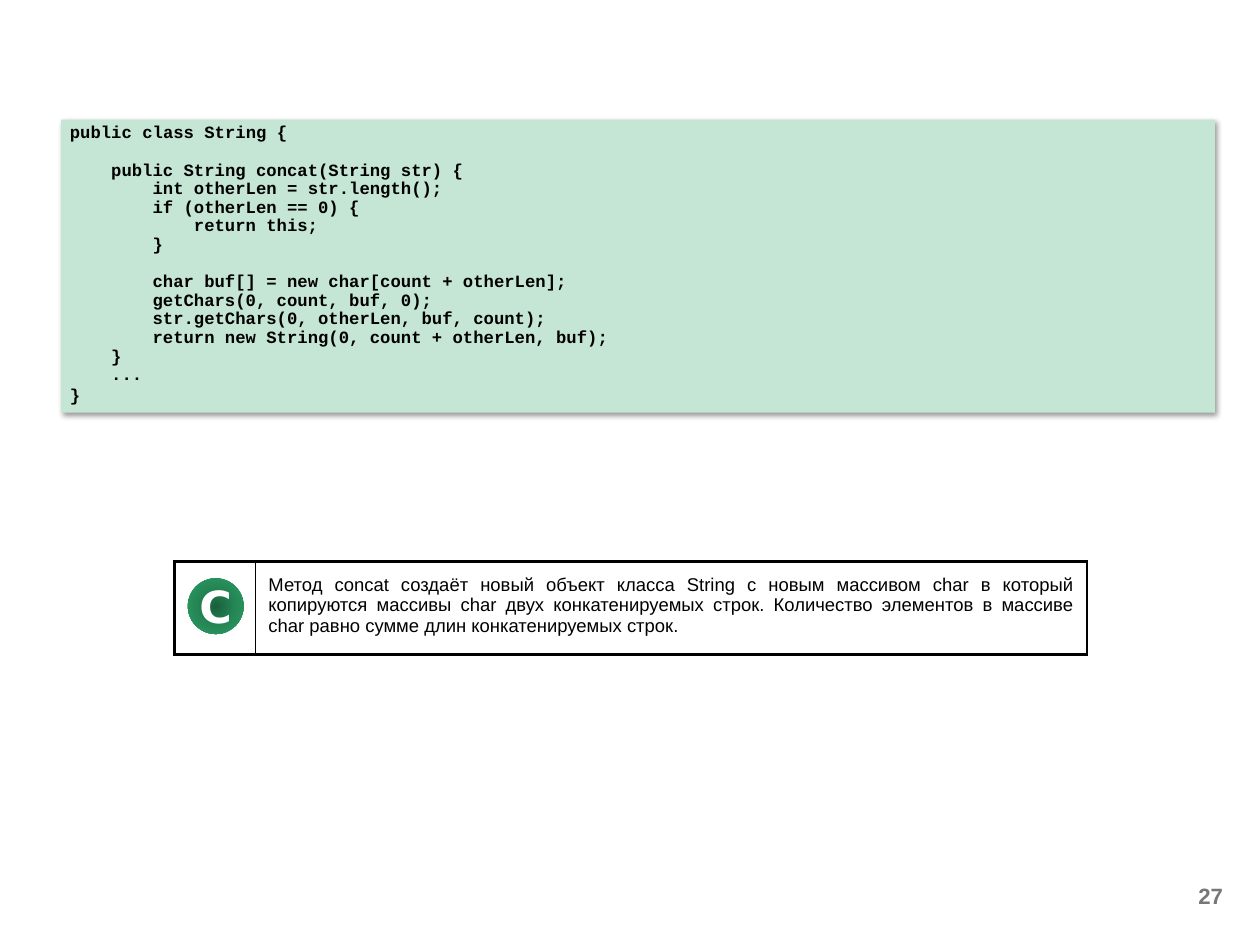
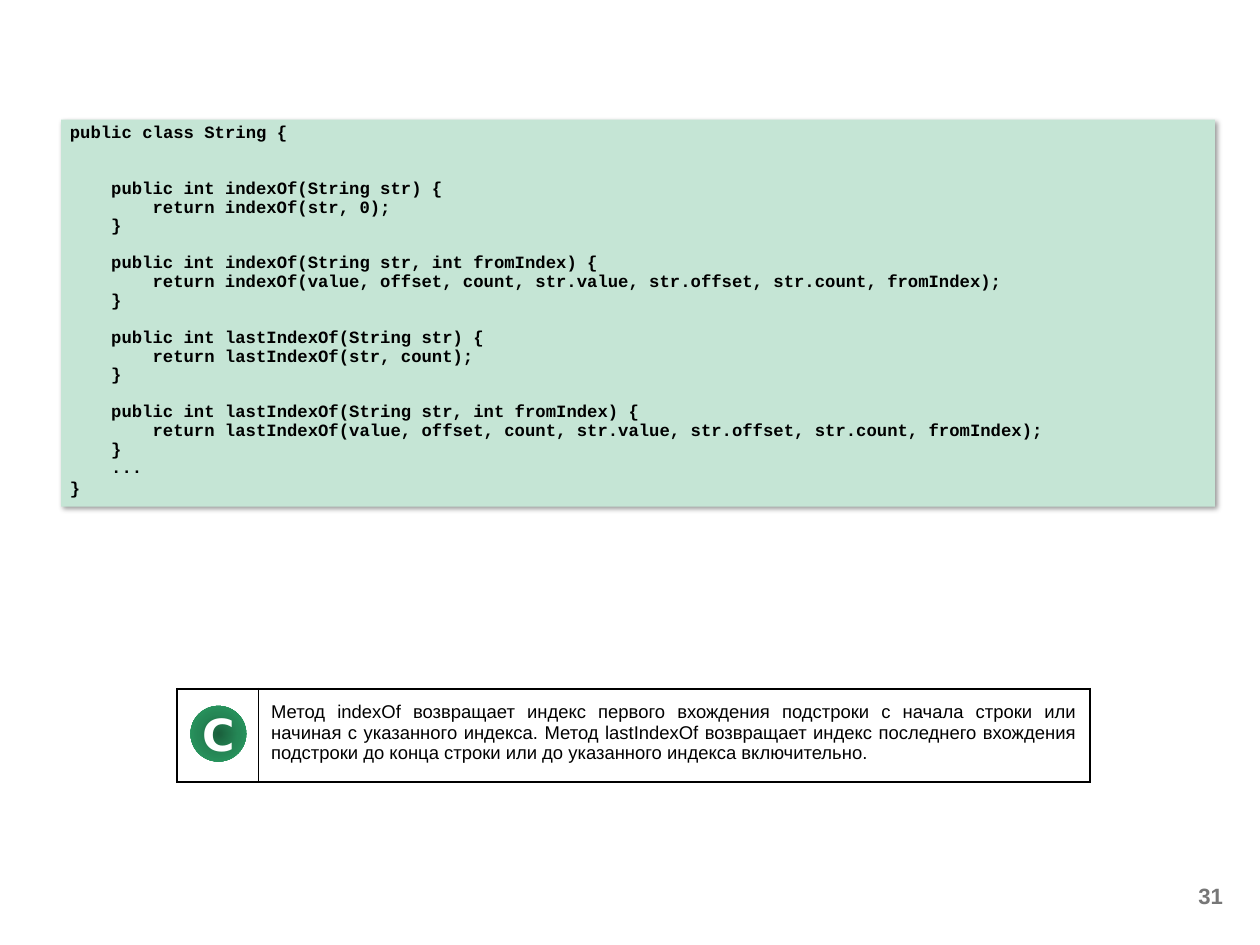
from pptx import Presentation, util as u
from pptx.dml import color
from pptx.enum import shapes, text
from pptx.oxml import parse_xml
from pptx.oxml.ns import nsdecls

# Theme: colours, type styles and line weights
theme = {
    "panel": "C5E5D5", "paper": "FFFFFF", "rule": "000000",
    "badge": {0: "1A5F3C", 50: "258756", 100: "2BA166"},
    "outer": 2.25, "inner": 0.5,
    "code": {"name": "Courier New", "size": u.Pt(14), "bold": True, "color": "000000"},
    "note": {"name": "Arial", "size": u.Pt(15), "bold": False, "color": "000000"},
    "number": {"name": "Arial", "size": u.Pt(18), "bold": True, "color": "777777"},
    "letter": {"name": "DejaVu Sans", "size": u.Pt(36), "bold": True, "color": "FFFFFF"},
}
code_indent = u.Pt(33.6)  # four characters of code
code_line = 15.1          # height of one code line, points

# Content
pages = [
    {
        "number": "27", "panel_height": 3.31, "note_at": (1.97, 6.34),
        "code": """public class String {

    public String concat(String str) {
        int otherLen = str.length();
        if (otherLen == 0) {
            return this;
        }

        char buf[] = new char[count + otherLen];
        getChars(0, count, buf, 0);
        str.getChars(0, otherLen, buf, count);
        return new String(0, count + otherLen, buf);
    }
    ...
}""",
        "note": "Метод concat создаёт новый объект класса String с новым массивом char "
                "в который копируются массивы char двух конкатенируемых строк. Количество "
                "элементов в массиве char равно сумме длин конкатенируемых строк.",
    },
    {
        "number": "31", "panel_height": 4.37, "note_at": (2, 7.78),
        "code": """public class String {


    public int indexOf(String str) {
        return indexOf(str, 0);
    }

    public int indexOf(String str, int fromIndex) {
        return indexOf(value, offset, count, str.value, str.offset, str.count, fromIndex);
    }

    public int lastIndexOf(String str) {
        return lastIndexOf(str, count);
    }

    public int lastIndexOf(String str, int fromIndex) {
        return lastIndexOf(value, offset, count, str.value, str.offset, str.count, fromIndex);
    }
    ...
}""",
        "note": "Метод indexOf возвращает индекс первого вхождения подстроки с начала строки "
                "или начиная с указанного индекса. Метод lastIndexOf возвращает индекс "
                "последнего вхождения подстроки до конца строки или до указанного индекса "
                "включительно.",
    },
]


def write(para, words, style, align):
    para.alignment = align
    span = para.add_run()
    span.text = words
    for name, value in theme[style].items():
        if name == "color":
            span.font.color.rgb = color.RGBColor.from_string(value)
        else:
            setattr(span.font, name, value)


def add_plain_shape(page, kind, left, top, width, height):
    shape = page.shapes.add_shape(kind, *map(u.Inches, (left, top, width, height)))
    shape.line.fill.background()
    shape.shadow.inherit = False
    return shape


deck = Presentation()
deck.slide_width, deck.slide_height = u.Inches(14.22), u.Inches(10.67)
align = text.PP_ALIGN

for content in pages:
    page = deck.slides.add_slide(deck.slide_layouts[6])

    # Page number
    box = page.shapes.add_textbox(*map(u.Inches, (10.58, 9.85, 3.32, 0.53)))
    box.text_frame.word_wrap = True
    box.text_frame.vertical_anchor = text.MSO_ANCHOR.MIDDLE
    write(box.text_frame.paragraphs[0], content["number"], "number", align.RIGHT)

    # Code panel with a soft shadow
    panel = add_plain_shape(page, shapes.MSO_SHAPE.RECTANGLE,
                            0.69, 1.35, 13.02, content["panel_height"])
    panel.fill.solid()
    panel.fill.fore_color.rgb = color.RGBColor.from_string(theme["panel"])
    panel._element.spPr.find("{*}effectLst").append(parse_xml(
        f'<a:outerShdw {nsdecls("a")} blurRad="{u.Pt(4)}" dist="{u.Pt(3)}" dir="2700000" '
        'algn="tl" rotWithShape="0"><a:srgbClr val="000000"><a:alpha val="40000"/>'
        '</a:srgbClr></a:outerShdw>'))
    frame = panel.text_frame
    frame.word_wrap = True
    frame.vertical_anchor = text.MSO_ANCHOR.TOP
    frame.auto_size = text.MSO_AUTO_SIZE.SHAPE_TO_FIT_TEXT

    # Code lines: depth becomes an indent, an empty line becomes space before
    para, gap = frame.paragraphs[0], 0
    for line in content["code"].split("\n"):
        words = line.strip()
        if not words:
            gap += code_line
            continue
        if para.runs:
            para = frame.add_paragraph()
        write(para, words, "code", align.LEFT)
        depth = (len(line) - len(words)) // 4
        para._p.get_or_add_pPr().set("marL", str(depth * code_indent))
        para.space_before = u.Pt(gap)
        para.line_spacing = 0.9
        gap = 0
    para.line_spacing = 1.0

    # Note table
    left, top = content["note_at"]
    holder = page.shapes.add_table(1, 2, *map(u.Inches, (left, top, 10.3, 1.05)))
    table = holder.table
    table.first_row = table.horz_banding = False
    for column, width in zip(table.columns, (0.91, 9.39)):
        column.width = u.Inches(width)
    for cell, inner_side in zip(table.rows[0].cells, "RL"):
        borders = cell._tc.get_or_add_tcPr()
        for side in "LRTB":
            weight = theme["inner" if side == inner_side else "outer"]
            borders.append(parse_xml(
                f'<a:ln{side} {nsdecls("a")} w="{u.Pt(weight)}"><a:solidFill>'
                f'<a:srgbClr val="{theme["rule"]}"/></a:solidFill></a:ln{side}>'))
        cell.fill.solid()
        cell.fill.fore_color.rgb = color.RGBColor.from_string(theme["paper"])
    note = table.cell(0, 1)
    for side in ("left", "top", "right", "bottom"):
        setattr(note, f"margin_{side}", u.Inches(0.15))
    write(note.text_frame.paragraphs[0], content["note"], "note", align.JUSTIFY)

    # Round badge in the first cell
    badge = add_plain_shape(page, shapes.MSO_SHAPE.OVAL, left + 0.15, top + 0.19, 0.63, 0.63)
    stops = "".join(f'<a:gs pos="{place * 1000}"><a:srgbClr val="{tone}"/></a:gs>'
                    for place, tone in theme["badge"].items())
    badge._element.spPr.find("{*}prstGeom").addnext(parse_xml(
        f'<a:gradFill {nsdecls("a")}><a:gsLst>{stops}</a:gsLst><a:path path="circle">'
        '<a:fillToRect l="50000" t="50000" r="50000" b="50000"/></a:path></a:gradFill>'))
    frame = badge.text_frame
    for side in ("left", "top", "right", "bottom"):
        setattr(frame, f"margin_{side}", 0)
    frame.vertical_anchor = text.MSO_ANCHOR.MIDDLE
    write(frame.paragraphs[0], "C", "letter", align.CENTER)

deck.save("out.pptx")
